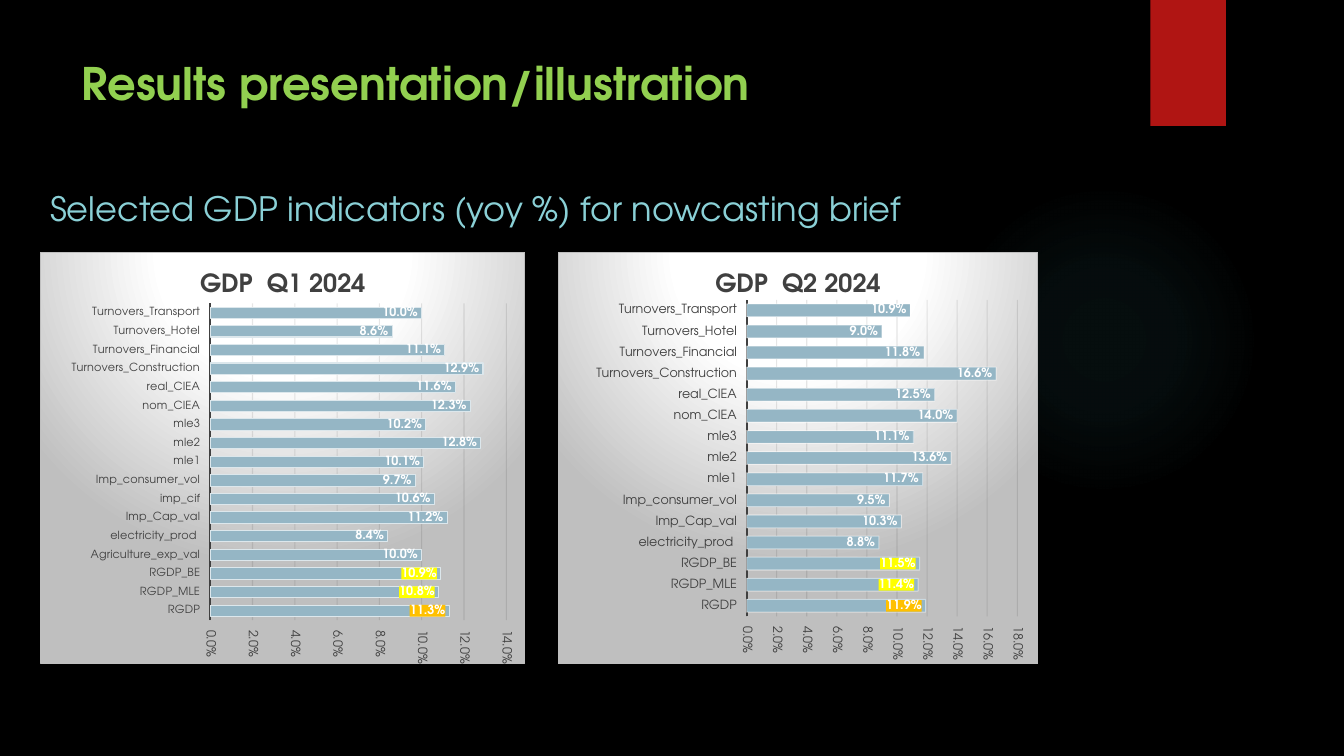
"""Build the slide with nowcasting results for two quarters of GDP."""
from lxml import etree
from pptx import Presentation, util as u
from pptx.chart.data import CategoryChartData
from pptx.dml.color import RGBColor
from pptx.enum import chart as ch, shapes, text
from pptx.oxml import parse_xml
from pptx.oxml.ns import nsdecls, qn

FONT = "TeX Gyre Adventor"
BLACK, WHITE = RGBColor(0, 0, 0), RGBColor(255, 255, 255)
GREEN, AQUA = RGBColor(0x92, 0xD0, 0x50), RGBColor(0x8A, 0xD0, 0xD6)
RED, GLOW = RGBColor(0xB0, 0x15, 0x13), RGBColor(0x50, 0xB9, 0xC1)
BAR, BAR_EDGE = RGBColor(0x95, 0xB6, 0xC5), RGBColor(0xDC, 0xE7, 0xEC)
GREY, DARK, GRID = RGBColor(0xBF, 0xBF, 0xBF), RGBColor(0x40, 0x40, 0x40), RGBColor(13, 13, 13)
YELLOW, ORANGE = RGBColor(255, 255, 0), RGBColor(0xFF, 0xC0, 0)
PERCENT = "0.0%"

TEXTS = [
    ("Results presentation/illustration", (0.71, 0.5, 10.29, 0.77), 32, GREEN, True,
     text.MSO_ANCHOR.TOP),
    ("Selected GDP indicators (yoy %) for nowcasting brief", (0.4, 1.81, 9.97, 0.5), 24, AQUA,
     False, text.MSO_ANCHOR.BOTTOM),
]
INDICATORS = [
    ("RGDP", 0.113, 0.119), ("RGDP_MLE", 0.108, 0.114), ("RGDP_BE", 0.109, 0.115),
    ("Agriculture_exp_val", 0.1, None), ("electricity_prod ", 0.084, 0.088),
    ("Imp_Cap_val", 0.112, 0.103), ("imp_cif", 0.106, None), ("Imp_consumer_vol", 0.097, 0.095),
    ("mle1", 0.101, 0.117), ("mle2", 0.128, 0.136), ("mle3", 0.102, 0.111),
    ("nom_CIEA", 0.123, 0.14), ("real_CIEA", 0.116, 0.125),
    ("Turnovers_Construction", 0.129, 0.166), ("Turnovers_Financial", 0.111, 0.118),
    ("Turnovers_Hotel", 0.086, 0.09), ("Turnovers_Transport", 0.1, 0.109),
]
HIGHLIGHTS = [ORANGE, YELLOW, YELLOW]
QUARTERS = [
    dict(title="GDP  Q1 2024", column=1, at=(0.4, 2.5, 4.81, 4.09), top=0.14, size=8,
         plot=(0.35, 0.124, 0.612, 0.77), edge=BAR_EDGE, opacity=100),
    dict(title="GDP  Q2 2024", column=2, at=(5.53, 2.5, 4.77, 4.09), top=0.18, size=9,
         plot=(0.393, 0.115, 0.564, 0.77), edge=WHITE, opacity=50),
]


def inches(box):
    return [u.Inches(v) for v in box]


def style(font, size, color, bold=False):
    font.name, font.size, font.bold = FONT, u.Pt(size), bold
    font.color.rgb = color


def outline(line, color, width):
    line.color.rgb = color
    line.width = u.Pt(width)


def fade(root, query, opacity):
    for color in root.xpath(query):
        etree.SubElement(color, qn("a:alpha")).set("val", str(opacity * 1000))


def radial(stops, top, bottom):
    marks = "".join(
        f'<a:gs pos="{pos * 1000}"><a:srgbClr val="{color}"><a:alpha val="{opacity * 1000}"/>'
        "</a:srgbClr></a:gs>" for pos, color, opacity in stops)
    return (f'<a:gradFill {nsdecls("a")} rotWithShape="1"><a:gsLst>{marks}</a:gsLst>'
            f'<a:path path="circle"><a:fillToRect l="50000" t="{top * 1000}" r="50000" '
            f'b="{bottom * 1000}"/></a:path></a:gradFill>')


def add_block(s, kind, box, color):
    sp = s.shapes.add_shape(kind, *inches(box))
    sp.shadow.inherit = False
    sp.fill.solid()
    sp.fill.fore_color.rgb = color
    sp.line.fill.background()
    return sp


def add_text(s, words, box, size, color, bold, anchor):
    tf = s.shapes.add_textbox(*inches(box)).text_frame
    tf.word_wrap, tf.vertical_anchor = True, anchor
    r = tf.paragraphs[0].add_run()
    r.text = words
    style(r.font, size, color, bold)


def add_quarter(s, title, column, at, top, size, plot, edge, opacity):
    rows = [row for row in INDICATORS if row[column] is not None]
    data = CategoryChartData(number_format=PERCENT)
    data.categories = [row[0] for row in rows]
    data.add_series("Series 1", [row[column] for row in rows])
    chart = s.shapes.add_chart(ch.XL_CHART_TYPE.BAR_CLUSTERED, *inches(at), data).chart
    space = chart._chartSpace
    chart.has_legend = False
    style(chart.font, 10, WHITE)
    r = chart.chart_title.text_frame.paragraphs[0].add_run()
    r.text = title
    style(r.font, 18, DARK, True)

    cat, val = chart.category_axis, chart.value_axis
    for axis, points in ((cat, size), (val, 9)):
        axis.major_tick_mark = axis.minor_tick_mark = ch.XL_TICK_MARK.NONE
        axis.tick_label_position = ch.XL_TICK_LABEL_POSITION.LOW
        style(axis.tick_labels.font, points, DARK)
    outline(cat.format.line, DARK, 1.5)
    val.format.line.fill.background()
    val.minimum_scale, val.maximum_scale, val.major_unit = 0, top, 0.02
    val.tick_labels.number_format = PERCENT
    val.tick_labels.number_format_is_linked = False
    outline(val.major_gridlines.format.line, GRID, 0.75)
    fade(space, ".//c:majorGridlines//a:srgbClr", 10)
    turned = space.xpath(".//c:valAx/c:txPr/a:bodyPr")[0]
    turned.set("rot", "5400000")
    turned.set("vert", "horz")

    bars = chart.plots[0]
    bars.gap_width, bars.vary_by_categories = 65, False
    series = bars.series[0]
    series.format.fill.solid()
    series.format.fill.fore_color.rgb = BAR
    outline(series.format.line, edge, 0.75)
    fade(space, ".//c:ser/c:spPr/a:ln//a:srgbClr", opacity)
    labels = series.data_labels
    labels.show_value, labels.position = True, ch.XL_LABEL_POSITION.INSIDE_END
    labels.number_format, labels.number_format_is_linked = PERCENT, False
    style(labels.font, 9, WHITE, True)
    for i, color in enumerate(HIGHLIGHTS):
        label = series.points[i].data_label
        style(label.font, 9, WHITE, True)
        label.position = ch.XL_LABEL_POSITION.INSIDE_END
        tx = space.xpath(f".//c:dLbl[c:idx/@val='{i}']/c:txPr")[0]
        for old in tx.getparent().xpath("c:numFmt | c:spPr"):
            tx.getparent().remove(old)
        tx.addprevious(parse_xml(
            f'<c:numFmt {nsdecls("c")} formatCode="{PERCENT}" sourceLinked="0"/>'))
        tx.addprevious(parse_xml(
            f'<c:spPr {nsdecls("c", "a")}><a:solidFill><a:srgbClr val="{color}"/>'
            "</a:solidFill></c:spPr>"))

    area = space.xpath("c:chart/c:plotArea")[0]
    for old in area.xpath("c:layout"):
        area.remove(old)
    spots = "".join(f'<c:{k} val="{v}"/>' for k, v in zip("xywh", plot))
    area.insert(0, parse_xml(
        f'<c:layout {nsdecls("c")}><c:manualLayout><c:layoutTarget val="inner"/>'
        f'<c:xMode val="edge"/><c:yMode val="edge"/>{spots}</c:manualLayout></c:layout>'))
    backdrop = radial([(0, WHITE, 100), (39, WHITE, 100), (100, GREY, 100)], -80, 180)
    space.xpath("c:chart")[0].addnext(parse_xml(
        f'<c:spPr {nsdecls("c", "a")}>{backdrop}<a:ln w="{u.Pt(0.75)}"><a:solidFill>'
        f'<a:srgbClr val="{GREY}"/></a:solidFill></a:ln></c:spPr>'))


def main():
    prs = Presentation()
    prs.slide_width, prs.slide_height = inches((13.33, 7.5))
    s = prs.slides.add_slide(prs.slide_layouts[6])
    s.background.fill.solid()
    s.background.fill.fore_color.rgb = BLACK
    glow = add_block(s, shapes.MSO_SHAPE.OVAL, (9.41, 1.83, 3.08, 3.08), GLOW)
    solid = glow._element.spPr.find(qn("a:solidFill"))
    solid.getparent().replace(
        solid, parse_xml(radial([(0, GLOW, 7), (36, GLOW, 6), (69, GLOW, 0)], 50, 50)))
    add_block(s, shapes.MSO_SHAPE.RECTANGLE, (11.41, 0, 0.75, 1.25), RED)
    for item in TEXTS:
        add_text(s, *item)
    for quarter in QUARTERS:
        add_quarter(s, **quarter)
    prs.save("out.pptx")


if __name__ == "__main__":
    main()
